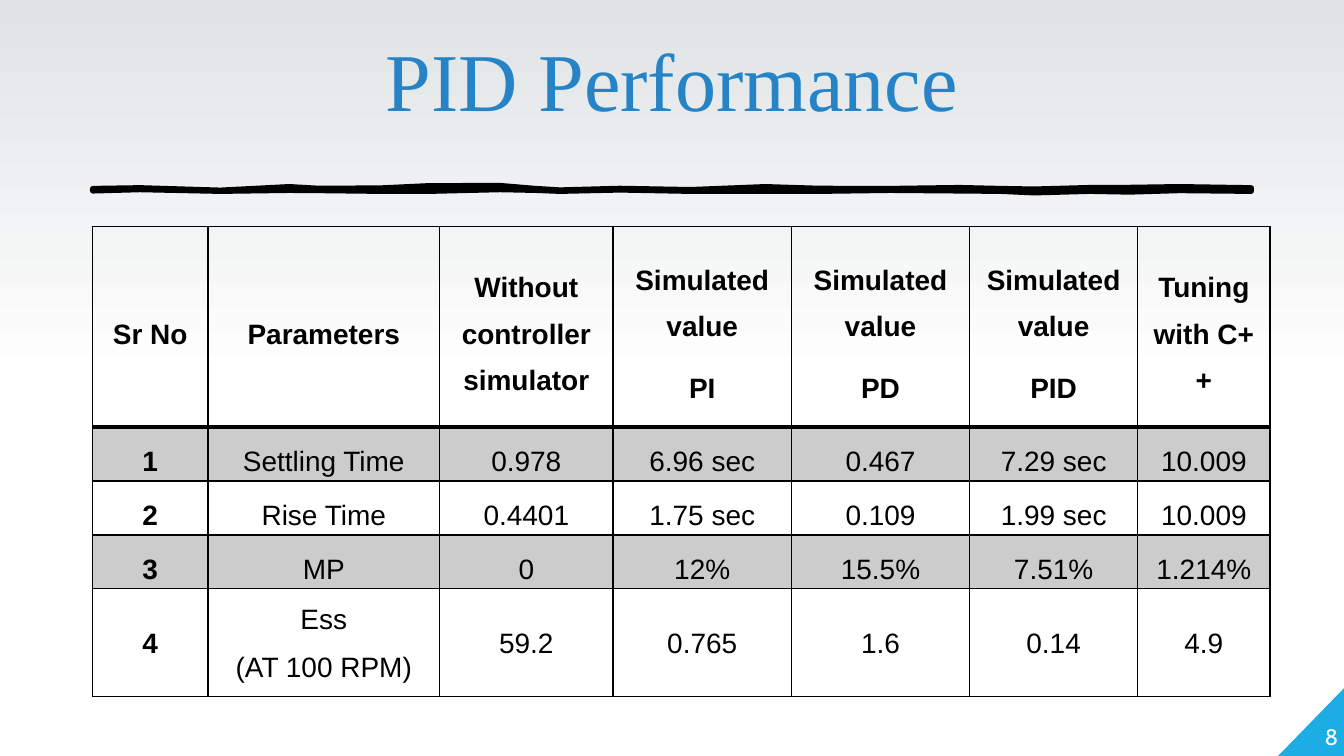
"""Build the PID performance slide with its comparison table."""
from lxml.etree import SubElement
from pptx import Presentation
from pptx.dml.color import RGBColor
from pptx.enum.shapes import MSO_SHAPE as Shape
from pptx.enum.text import MSO_ANCHOR as Anchor, PP_ALIGN as Align
from pptx.oxml import parse_xml
from pptx.oxml.ns import nsdecls, qn
from pptx.util import Pt

COLORS = {
    "ink": "000000",
    "title": "2683C6",
    "corner": "1CADE4",
    "white": "FFFFFF",
    "mist": "DFE3E5",
}
COLUMN_WIDTHS = [62, 124, 93, 95.5, 95.5, 90, 71]
ROW_HEIGHTS = [107.3, 28.9, 28.9, 28.9, 57.8]
RESULTS = [
    ["Sr No", "Parameters", "Without controller simulator", "Simulated value\nPI",
     "Simulated value\nPD", "Simulated value\nPID", "Tuning with C++"],
    ["1", "Settling Time", "0.978", "6.96 sec", "0.467", "7.29 sec", "10.009"],
    ["2", "Rise Time", "0.4401", "1.75 sec", "0.109", "1.99 sec", "10.009"],
    ["3", "MP", "0", "12%", "15.5%", "7.51%", "1.214%"],
    ["4", "Ess\n(AT 100 RPM)", "59.2", "0.765", "1.6", "0.14", "4.9"],
]
STROKE_EDGES = [
    (49.7, 101.1, 102.2), (75, 100.7, 101.5), (118, 102, 102.4), (155, 100.1, 101.9),
    (171, 101, 102), (204, 100.8, 102.4), (230, 99.6, 102.4), (268, 99.5, 101.5),
    (287, 101.1, 101.9), (300, 101.9, 102.4), (332, 101, 101.7), (370, 101.7, 102.4),
    (410, 100.1, 102.4), (439, 101, 102.4), (477, 101.1, 101.9), (514, 100.6, 102.2),
    (536, 101.1, 102.4), (554, 101.4, 103.2), (584, 100.6, 102.4), (605, 100.5, 102.8),
    (632, 100.1, 102), (670.3, 100.7, 102.4),
]


def rgb(name):
    """Return a palette colour."""
    return RGBColor.from_string(COLORS[name])


def paint_background(slide):
    """Fade the background from grey at the top to white at mid-height."""
    fill = slide.background.fill
    fill.gradient()
    fill.gradient_angle = 90
    for stop, position, color in zip(fill.gradient_stops, (0.5, 1), ("white", "mist")):
        stop.position = position
        stop.color.rgb = rgb(color)


def add_run(paragraph, text, size, font, color, bold=False):
    """Add one styled run to a paragraph."""
    run = paragraph.add_run()
    run.text = text
    run.font.size = Pt(size)
    run.font.name = font
    run.font.bold = bold
    run.font.color.rgb = rgb(color)


def add_label(slide, box, text, size, font, color, align, anchor, spacing=1.0):
    """Add a single-line text box without margins."""
    frame = slide.shapes.add_textbox(*map(Pt, box)).text_frame
    frame.word_wrap = True
    frame.margin_left = frame.margin_right = frame.margin_top = frame.margin_bottom = 0
    frame.vertical_anchor = anchor
    line = frame.paragraphs[0]
    line.alignment = align
    line.line_spacing = spacing
    add_run(line, text, size, font, color)


def add_brush_stroke(slide):
    """Draw the uneven rule below the title."""
    upper = [(Pt(x), Pt(top)) for x, top, _ in STROKE_EDGES]
    lower = [(Pt(x), Pt(bottom)) for x, _, bottom in reversed(STROKE_EDGES)]
    builder = slide.shapes.build_freeform(*upper[0])
    builder.add_line_segments(upper[1:] + lower, close=True)
    stroke = builder.convert_to_shape()
    stroke.shadow.inherit = False
    stroke.fill.solid()
    stroke.fill.fore_color.rgb = rgb("ink")
    stroke.line.color.rgb = rgb("ink")
    stroke.line.width = Pt(3)


def add_corner(slide):
    """Add the coloured triangle in the bottom right corner."""
    corner = slide.shapes.add_shape(Shape.ISOSCELES_TRIANGLE, Pt(684.7), Pt(368), Pt(36), Pt(37))
    corner.adjustments[0] = 1
    corner.shadow.inherit = False
    corner.fill.solid()
    corner.fill.fore_color.rgb = rgb("corner")
    corner.line.fill.background()


def fill_cell(cell, shaded):
    """Shade a cell with translucent ink or leave it clear."""
    if not shaded:
        cell.fill.background()
        return
    cell.fill.solid()
    cell.fill.fore_color.rgb = rgb("ink")
    ink = cell._tc.tcPr.find(qn("a:solidFill"))[0]
    SubElement(ink, qn("a:alpha")).set("val", "20000")


def border_cell(cell, top, bottom):
    """Rule all four sides of a cell, with widths in points."""
    for place, (side, width) in enumerate(zip("LRTB", (1, 1, top, bottom))):
        cell._tc.tcPr.insert(place, parse_xml(
            f'<a:ln{side} {nsdecls("a")} w="{Pt(width)}"><a:solidFill>'
            f'<a:srgbClr val="{COLORS["ink"]}"/></a:solidFill></a:ln{side}>'))


def write_cell(cell, text, bold, spacing):
    """Write centred paragraphs into a cell."""
    cell.margin_left = cell.margin_right = Pt(4.5)
    cell.margin_top = cell.margin_bottom = 0
    cell.vertical_anchor = Anchor.MIDDLE
    frame = cell.text_frame
    for index, words in enumerate(text.split("\n")):
        line = frame.add_paragraph() if index else frame.paragraphs[0]
        line.alignment = Align.CENTER
        line.line_spacing = spacing
        line.space_after = Pt(8)
        add_run(line, words, 15, "Arial", "ink", bold)


def add_results(slide):
    """Add the table of controller results."""
    table = slide.shapes.add_table(
        len(RESULTS), len(COLUMN_WIDTHS), Pt(49.5), Pt(121.4),
        Pt(sum(COLUMN_WIDTHS)), Pt(sum(ROW_HEIGHTS))).table
    table.first_row = table.horz_banding = False
    for column, width in zip(table.columns, COLUMN_WIDTHS):
        column.width = Pt(width)
    for row, height in zip(table.rows, ROW_HEIGHTS):
        row.height = Pt(height)
    last = len(RESULTS) - 1
    for r, values in enumerate(RESULTS):
        for c, text in enumerate(values):
            cell = table.cell(r, c)
            write_cell(cell, text, r == 0 or c == 0, 1.07 if r == last else 1.5)
            fill_cell(cell, r % 2 == 1)
            border_cell(cell, 2 if r == 1 else 1, 2 if r == 0 else 1)


def main():
    """Assemble and save the slide."""
    deck = Presentation()
    deck.slide_width, deck.slide_height = Pt(720), Pt(405)
    slide = deck.slides.add_slide(deck.slide_layouts[6])
    paint_background(slide)
    add_brush_stroke(slide)
    add_label(slide, (49.7, 21.6, 620.6, 78.5), "PID Performance", 44,
              "Times New Roman", "title", Align.CENTER, Anchor.TOP, 0.9)
    add_results(slide)
    add_corner(slide)
    add_label(slide, (681, 365, 36, 36.7), "8", 12, "Cabin", "white",
              Align.RIGHT, Anchor.BOTTOM)
    deck.save("out.pptx")


if __name__ == "__main__":
    main()
